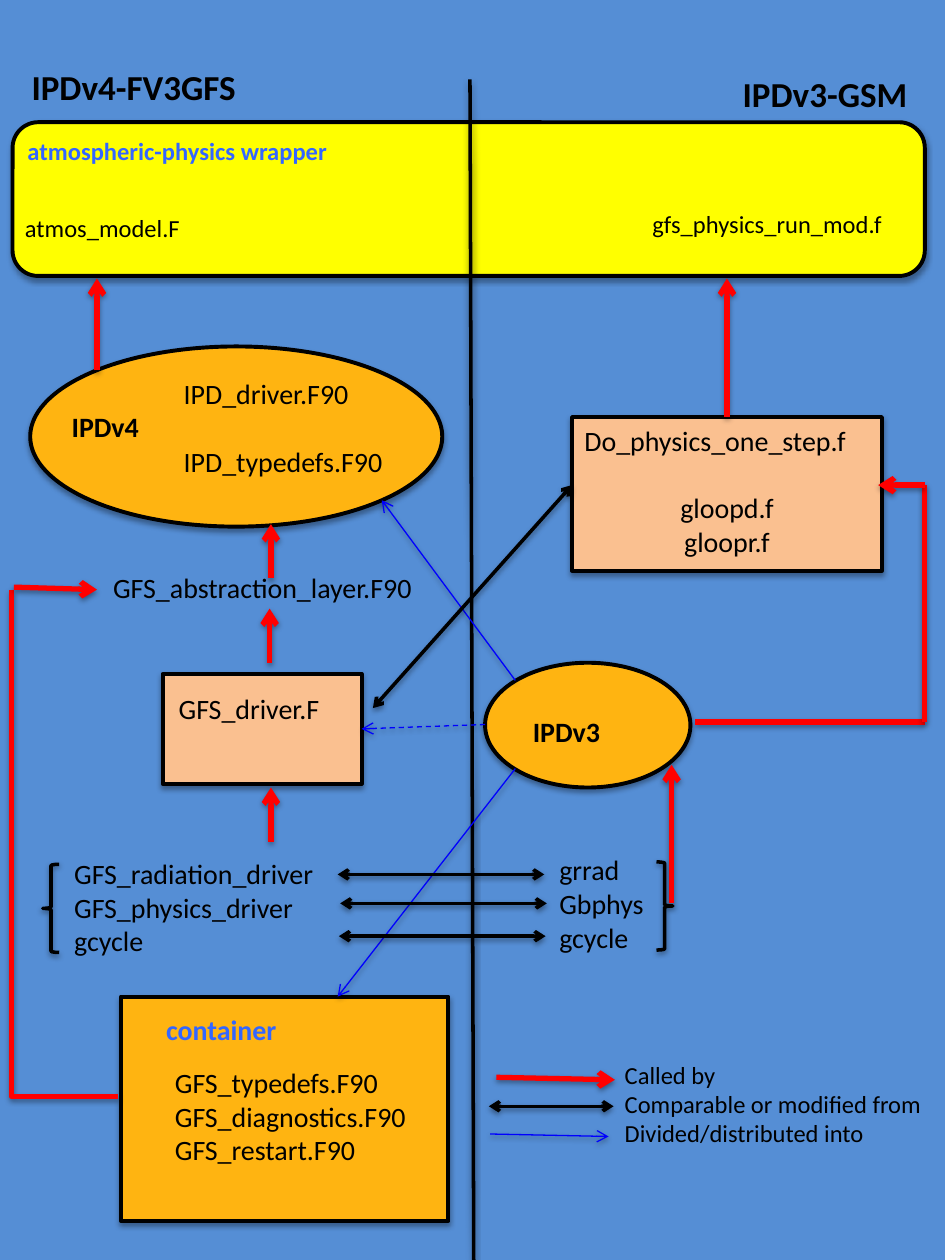
"""Build the one-page map of IPDv4 and IPDv3 physics drivers."""
from lxml import etree
from pptx import Presentation
from pptx.dml.color import RGBColor
from pptx.enum.dml import MSO_LINE
from pptx.enum.shapes import MSO_CONNECTOR, MSO_SHAPE
from pptx.enum.text import MSO_ANCHOR, MSO_AUTO_SIZE, PP_ALIGN
from pptx.oxml.ns import qn
from pptx.util import Inches, Pt

BLACK = RGBColor(0x00, 0x00, 0x00)
RED = RGBColor(0xFF, 0x00, 0x00)
BLUE = RGBColor(0x00, 0x00, 0xFF)
LABEL_BLUE = RGBColor(0x33, 0x66, 0xFF)
SKY = RGBColor(0x55, 0x8E, 0xD5)
YELLOW = RGBColor(0xFF, 0xFF, 0x00)
ORANGE = RGBColor(0xFF, 0xB4, 0x11)
PEACH = RGBColor(0xFA, 0xC0, 0x90)

LEFT, CENTER, RIGHT = PP_ALIGN.LEFT, PP_ALIGN.CENTER, PP_ALIGN.RIGHT
RECTANGLE, ROUNDED = MSO_SHAPE.RECTANGLE, MSO_SHAPE.ROUNDED_RECTANGLE
OVAL, BRACE = MSO_SHAPE.OVAL, MSO_SHAPE.LEFT_BRACE
STRAIGHT, ELBOW = MSO_CONNECTOR.STRAIGHT, MSO_CONNECTOR.ELBOW
DASH = MSO_LINE.DASH
TOP = MSO_ANCHOR.TOP
FIT_SHAPE = MSO_AUTO_SIZE.SHAPE_TO_FIT_TEXT
TITLE_ONLY = 5
TOP_SIDE, RIGHT_SIDE = 0, 3
BLANK_LINE = 19.5


def add_shadow(item, opacity, distance):
    """Give a shape or connector a soft shadow that falls straight down."""
    properties = item._element.spPr
    effects = etree.SubElement(properties, qn("a:effectLst"))
    shadow = etree.SubElement(effects, qn("a:outerShdw"), blurRad=str(Pt(3.1)),
                              dist=str(Pt(distance)), dir="5400000", rotWithShape="0")
    color = etree.SubElement(shadow, qn("a:srgbClr"), val=str(BLACK))
    etree.SubElement(color, qn("a:alpha"), val=str(opacity * 1000))


def add_box(page, kind, bounds, fill):
    """Draw a filled shape with a black outline."""
    box = page.shapes.add_shape(kind, *map(Inches, bounds))
    box.fill.solid()
    box.fill.fore_color.rgb = fill
    box.line.color.rgb = BLACK
    box.line.width = Pt(2.25)
    add_shadow(box, 35, 1.8)
    return box


def add_brace(page, left, top, rotation=0):
    """Draw a curly brace around a group of three names."""
    brace = page.shapes.add_shape(BRACE, *map(Inches, (left, top, 0.13, 0.7)))
    brace.rotation = rotation
    brace.fill.background()
    brace.line.color.rgb = BLACK
    brace.line.width = Pt(2)
    add_shadow(brace, 38, 1.6)


def write_text(box, text, size=16, color=BLACK, bold=False, align=LEFT,
               rest_align=None, gap=0):
    """Write one paragraph per line, with an optional gap after the first."""
    frame = box.text_frame
    frame.word_wrap = True
    frame.auto_size = FIT_SHAPE
    frame.vertical_anchor = TOP
    for index, line in enumerate(text.split("\n")):
        para = frame.add_paragraph() if index else frame.paragraphs[0]
        para.alignment = rest_align if index and rest_align else align
        para.space_before = Pt(gap if index == 1 else 0)
        span = para.add_run()
        span.text = line
        span.font.name = "Calibri"
        span.font.size = Pt(size)
        span.font.bold = bold
        span.font.color.rgb = color


def add_text(page, bounds, text, **text_format):
    """Place a text box on the page."""
    box = page.shapes.add_textbox(*map(Inches, bounds))
    write_text(box, text, **text_format)


def add_line(page, start, end, color=RED, width=3, head=False, tail=False,
             dash=None, kind=STRAIGHT):
    """Draw a connector with optional arrowheads at its two ends."""
    line = page.shapes.add_connector(kind, *map(Inches, (*start, *end)))
    line.line.color.rgb = color
    line.line.width = Pt(width)
    if dash:
        line.line.dash_style = dash
    outline = line.line._get_or_add_ln()
    for wanted, tag in ((head, "a:headEnd"), (tail, "a:tailEnd")):
        if wanted:
            etree.SubElement(outline, qn(tag), type="arrow")
    add_shadow(line, 38, 1.6)
    return line


def add_call(page, start, end):
    """Draw a red arrow from a routine to its caller."""
    return add_line(page, start, end, tail=True)


def add_comparison(page, start, end):
    """Draw a black two-way arrow between comparable routines."""
    return add_line(page, start, end, BLACK, 2, head=True, tail=True)


def add_division(page, start, end, dash=None):
    """Draw a thin blue arrow to a part that was split off."""
    return add_line(page, start, end, BLUE, 0.75, tail=True, dash=dash)


def add_boxes(page):
    """Draw the wrapper, drivers and container, and return the joined boxes."""
    add_box(page, ROUNDED, (0.1, 0.97, 7.24, 1.22), YELLOW)
    add_box(page, OVAL, (0.24, 2.75, 3.27, 1.43), ORANGE)
    add_box(page, OVAL, (3.85, 5.26, 1.63, 0.99), ORANGE)
    add_box(page, RECTANGLE, (0.96, 7.91, 2.6, 1.78), ORANGE)
    driver = add_box(page, RECTANGLE, (1.29, 5.35, 1.58, 0.87), PEACH)
    step = add_box(page, RECTANGLE, (4.54, 3.31, 2.46, 1.22), PEACH)
    add_brace(page, 0.34, 6.86)
    add_brace(page, 5.21, 6.84, rotation=180)
    return driver, step


def add_labels(page):
    """Write the headings, file names and legend."""
    title = page.shapes.title
    title.left, title.top, title.width, title.height = map(Inches, (0.15, 0.47, 2.22, 0.44))
    write_text(title, "IPDv4-FV3GFS", size=20, bold=True)
    add_text(page, (5.08, 0.53, 2.22, 0.44), "IPDv3-GSM", size=20, bold=True, align=RIGHT)
    add_text(page, (0.12, 1.03, 2.6, 0.34), "atmospheric-physics wrapper",
             size=14, color=LABEL_BLUE, bold=True)
    add_text(page, (0.1, 1.64, 1.6, 0.34), "atmos_model.F", size=14)
    add_text(page, (5.08, 1.61, 2.27, 0.34), "gfs_physics_run_mod.f", size=14)
    add_text(page, (0.47, 3.2, 1.09, 0.37), "IPDv4", bold=True)
    add_text(page, (4.13, 5.62, 1.09, 0.37), "IPDv3", bold=True)
    add_text(page, (1.36, 2.94, 2.24, 0.91), "IPD_driver.F90\nIPD_typedefs.F90", gap=BLANK_LINE)
    add_text(page, (4.54, 3.31, 2.46, 1.18), "Do_physics_one_step.f\ngloopd.f\ngloopr.f",
             rest_align=CENTER, gap=BLANK_LINE)
    add_text(page, (0.8, 4.48, 2.63, 0.37), "GFS_abstraction_layer.F90")
    add_text(page, (1.32, 5.44, 1.64, 0.37), "GFS_driver.F")
    add_text(page, (0.49, 6.75, 2.29, 0.91),
             "GFS_radiation_driver\nGFS_physics_driver\ngcycle")
    add_text(page, (4.34, 6.72, 2.29, 0.91), "grrad\nGbphys\ngcycle")
    add_text(page, (1.22, 7.99, 1.99, 0.37), "container", color=LABEL_BLUE, bold=True)
    add_text(page, (1.29, 8.41, 2.56, 0.91),
             "GFS_typedefs.F90\nGFS_diagnostics.F90\nGFS_restart.F90")
    add_text(page, (4.86, 8.36, 2.57, 0.81),
             "Called by\nComparable or modified from\nDivided/distributed into", size=14)


def add_links(page, driver, step):
    """Draw the divider, the call paths and the legend arrows."""
    add_line(page, (3.73, 0.63), (3.76, 10), BLACK, 2)

    add_call(page, (0.77, 2.94), (0.77, 2.21))
    for x, bottom in ((2.15, 4.59), (2.14, 5.26), (2.15, 6.68)):
        add_call(page, (x, bottom), (x, bottom - 0.43))
    add_call(page, (5.77, 3.31), (5.77, 2.21)).begin_connect(step, TOP_SIDE)
    add_call(page, (5.33, 7.17), (5.33, 6.07))

    container_path = add_line(page, (0.94, 8.7), (0.09, 4.68), kind=ELBOW)
    container_path._element.spPr.find(qn("a:prstGeom")).set("prst", "bentConnector2")
    add_call(page, (0.11, 4.66), (0.77, 4.68))
    add_line(page, (5.52, 5.73), (7.34, 5.73))
    add_line(page, (7.34, 5.73), (7.34, 3.85))
    add_call(page, (7.34, 3.85), (6.97, 3.85))

    add_division(page, (4.09, 5.4), (3.03, 3.97))
    add_division(page, (3.85, 5.75), (2.87, 5.78), DASH).end_connect(driver, RIGHT_SIDE)
    add_division(page, (4.09, 6.1), (2.68, 7.91))

    add_comparison(page, (2.96, 5.62), (4.54, 3.85))
    for left, y in ((2.68, 6.94), (2.7, 7.17), (2.69, 7.43)):
        add_comparison(page, (left, y), (left + 1.64, y))

    add_call(page, (3.94, 8.55), (4.88, 8.57))
    add_comparison(page, (3.88, 8.78), (4.87, 8.78))
    add_division(page, (3.89, 9), (4.83, 9.02))


def main():
    """Build and save the deck."""
    deck = Presentation()
    deck.slide_width, deck.slide_height = Inches(7.5), Inches(10)
    page = deck.slides.add_slide(deck.slide_layouts[TITLE_ONLY])
    page.background.fill.solid()
    page.background.fill.fore_color.rgb = SKY
    driver, step = add_boxes(page)
    add_labels(page)
    add_links(page, driver, step)
    deck.save("out.pptx")


if __name__ == "__main__":
    main()
